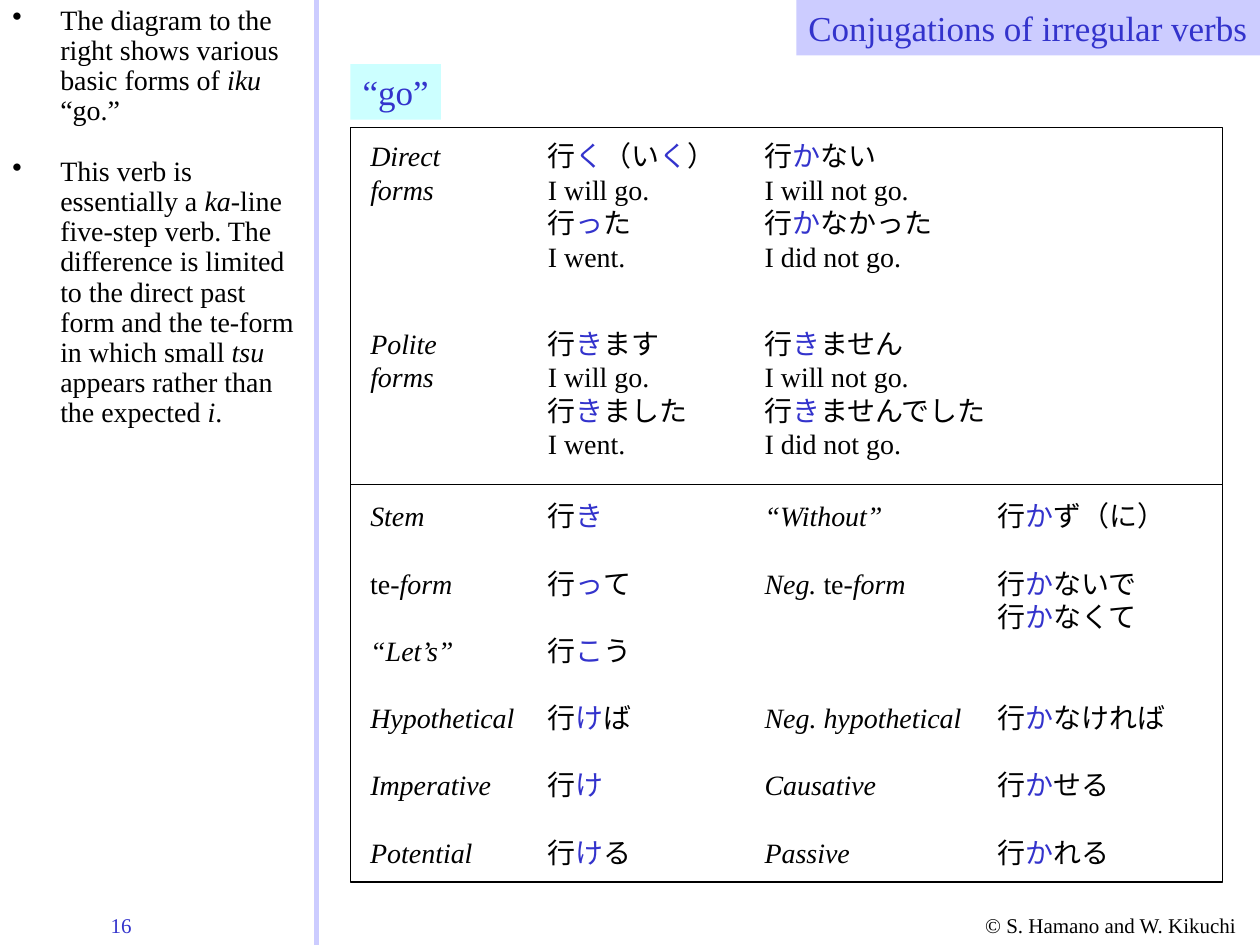
from pptx import Presentation
from pptx import util as u
from pptx.dml.color import RGBColor
from pptx.enum import shapes, text
from pptx.oxml.ns import qn
from lxml import etree

BLACK = RGBColor(0x00, 0x00, 0x00)
BLUE = RGBColor(0x33, 0x33, 0xCC)
LILAC = RGBColor(0xCC, 0xCC, 0xFF)
CYAN = RGBColor(0xCC, 0xFF, 0xFF)
FONT = "Times New Roman"

# Content: *...* is italic, |...| is the blue verb ending
NOTES = [
    "The diagram to the right shows various basic forms of *iku* “go.”",
    "This verb is essentially a *ka-*line five-step verb. The difference is "
    "limited to the direct past form and the te-form in which small *tsu* "
    "appears rather than the expected *i*.",
]
# Each row holds cells from left to right: (text width, lines), or None when empty
TENSE_ROWS = [
    [(0.76, ["*Direct*", "*forms*"]),
     (1.53, ["行|く|（い|く|）", "I will go.", "行|っ|た", "I went."]),
     (1.53, ["行|か|ない", "I will not go.", "行|か|なかった", "I did not go."])],
    [(0.73, ["*Polite*", "*forms*"]),
     (1.31, ["行|き|ます", "I will go.", "行|き|ました", "I went."]),
     (1.97, ["行|き|ません", "I will not go.", "行|き|ませんでした", "I did not go."])],
]
FORM_ROWS = [
    [(0.63, ["*Stem*"]), (0.64, ["行|き|"]),
     (1.15, ["*“Without”*"]), (1.53, ["行|か|ず（に）"])],
    [(0.85, ["te*-form*"]), (0.86, ["行|っ|て"]),
     (1.32, ["*Neg. *te*-form*"]), (1.31, ["行|か|ないで", "行|か|なくて"])],
    [(0.89, ["*“Let’s”*"]), (0.86, ["行|こ|う"]), None, None],
    [(1.34, ["*Hypothetical*"]), (0.86, ["行|け|ば"]),
     (1.76, ["*Neg. hypothetical*"]), (1.53, ["行|か|なければ"])],
    [(1.16, ["*Imperative*"]), (0.64, ["行|け|"]),
     (1.08, ["*Causative*"]), (1.08, ["行|か|せる"])],
    [(1.01, ["*Potential*"]), (0.86, ["行|け|る"]),
     (0.87, ["*Passive*"]), (1.08, ["行|か|れる"])],
]

# Grid, in inches
WIDTH, HEIGHT = 10, 7.5
SIDEBAR = 2.51
COLUMNS = [2.84, 4.25, 5.97, 7.82]
TENSE_TOP, TENSE_PITCH = 1.05, 1.49
FORM_TOP, FORM_PITCH = 3.91, 0.534
LINE_HEIGHT, PADDING = 0.267, 0.1
SLACK = 0.05  # spare width that keeps each cell line whole
FRAME_LEFT, FRAME_WIDTH = 2.78, 6.92
FRAME_EDGES = [1.01, 3.845, 7]
TITLE_WIDTH = 3.68

deck = Presentation()
deck.slide_width, deck.slide_height = u.Inches(WIDTH), u.Inches(HEIGHT)
page = deck.slides.add_slide(deck.slide_layouts[6])


def add_spans(para, marked, size, color):
    """Split marked text into spans, switching format at each mark."""
    italic = blue = False
    for piece in marked.replace("*", "\0*\0").replace("|", "\0|\0").split("\0"):
        if piece == "*":
            italic = not italic
        elif piece == "|":
            blue = not blue
        elif piece:
            span = para.add_run()
            span.text = piece
            span.font.name, span.font.size = FONT, u.Pt(size)
            span.font.italic = italic
            span.font.color.rgb = BLUE if blue else color


def add_text(lines, left, top, width, height, size=16, color=BLACK, fill=None,
             align=text.PP_ALIGN.LEFT, bullet=False, inset=0.1):
    place = [u.Inches(value) for value in (left, top, width, height)]
    if fill is None:
        box = page.shapes.add_textbox(*place)
    else:
        box = page.shapes.add_shape(shapes.MSO_SHAPE.RECTANGLE, *place)
        box.shadow.inherit = False
        box.fill.solid()
        box.fill.fore_color.rgb = fill
        box.line.fill.background()
    frame = box.text_frame
    frame.word_wrap = True
    frame.auto_size = text.MSO_AUTO_SIZE.NONE
    frame.vertical_anchor = text.MSO_ANCHOR.TOP
    if align == text.PP_ALIGN.RIGHT:
        frame.margin_left = u.Inches(inset)
    else:
        frame.margin_right = u.Inches(inset)
    for index, line in enumerate(lines):
        para = frame.add_paragraph() if index else frame.paragraphs[0]
        para.alignment = align
        add_spans(para, line, size, color)
        if bullet:
            para.line_spacing = 0.9
            para.space_before = u.Pt(17.2 if index else 0)
            props = para._p.get_or_add_pPr()
            props.set("marL", str(u.Inches(0.38)))
            props.set("indent", str(-u.Inches(0.38)))
            etree.SubElement(props, qn("a:buChar")).set("char", "•")


def add_rows(rows, first_top, pitch):
    for index, cells in enumerate(rows):
        for left, cell in zip(COLUMNS, cells):
            if cell:
                width, lines = cell
                add_text(lines, left, first_top + index * pitch, width + SLACK,
                         PADDING + LINE_HEIGHT * len(lines))


# Footer
add_text(["© S. Hamano and W. Kikuchi"], 7.72, 7.19, 2.28, 0.3, size=12)
add_text(["16"], 0.78, 7.19, 0.89, 0.3, size=12, color=BLUE)

# Sidebar with its divider
divider = page.shapes.add_connector(
    shapes.MSO_CONNECTOR.STRAIGHT, u.Inches(SIDEBAR), 0,
    u.Inches(SIDEBAR), u.Inches(HEIGHT))
divider.line.color.rgb, divider.line.width = LILAC, u.Pt(3)
etree.SubElement(divider._element.spPr, qn("a:effectLst"))
add_text(NOTES, 0, 0, SIDEBAR, 3.71, bullet=True)

# Headings, with a small inset on the free side so that each stays on one line
add_text(["“go”"], FRAME_LEFT, 0.51, 0.72, 0.44, size=20, color=BLUE,
         fill=CYAN, inset=0.02)
add_text(["Conjugations of irregular verbs"], WIDTH - TITLE_WIDTH, 0,
         TITLE_WIDTH, 0.44, size=20, color=BLUE, fill=LILAC,
         align=text.PP_ALIGN.RIGHT, inset=0.02)

# Conjugation cells
add_rows(TENSE_ROWS, TENSE_TOP, TENSE_PITCH)
add_rows(FORM_ROWS, FORM_TOP, FORM_PITCH)

# Frames around the two groups
for top, bottom in zip(FRAME_EDGES, FRAME_EDGES[1:]):
    outline = page.shapes.add_shape(
        shapes.MSO_SHAPE.RECTANGLE, u.Inches(FRAME_LEFT), u.Inches(top),
        u.Inches(FRAME_WIDTH), u.Inches(bottom - top))
    outline.shadow.inherit = False
    outline.fill.background()
    outline.line.color.rgb, outline.line.width = BLACK, u.Pt(0.75)

deck.save("out.pptx")
